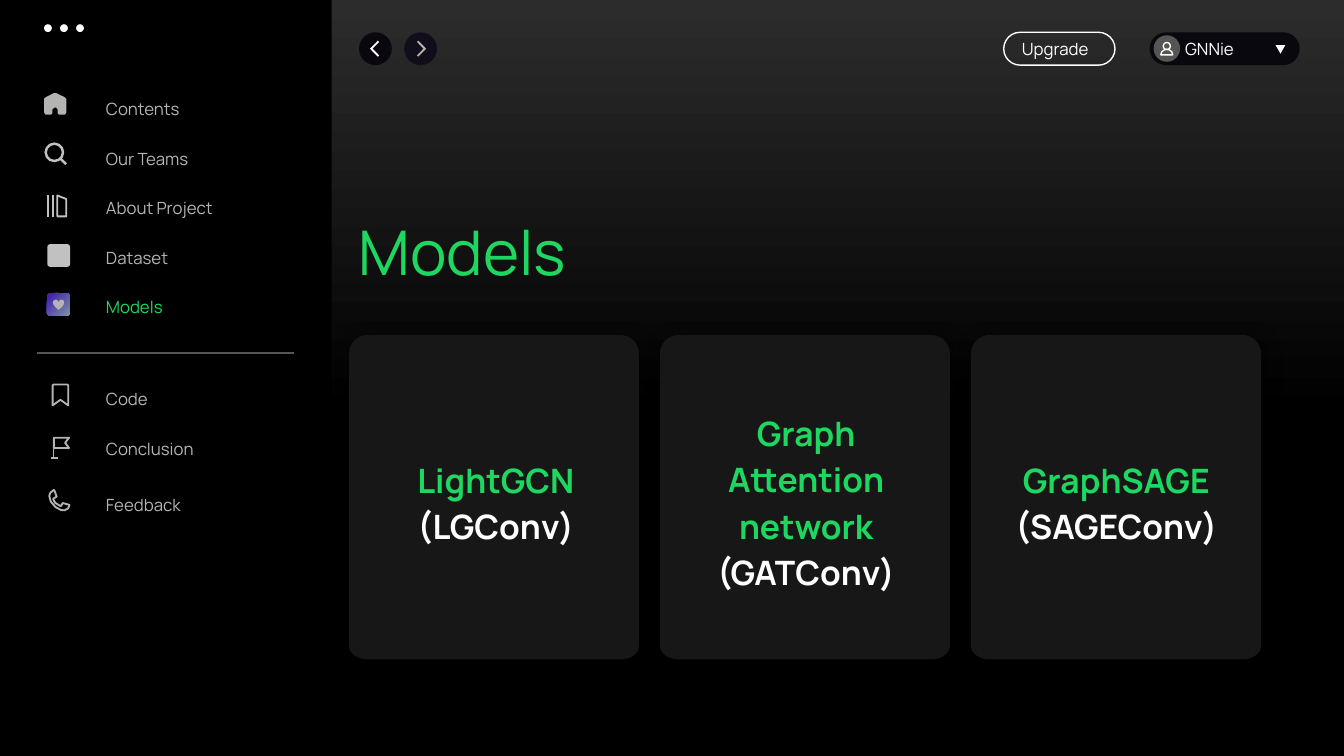
"""Build the Models slide: dark app sidebar, top bar and three model cards."""
import math
import lxml.etree
import pptx
import pptx.dml.color
import pptx.enum.shapes
import pptx.enum.text
import pptx.oxml.ns
import pptx.util

Pt = pptx.util.Pt
Kind = pptx.enum.shapes.MSO_SHAPE
qn = pptx.oxml.ns.qn

THEME = {
    "font": "Manrope", "title": 33, "label": 9, "card": 18,
    "stroke": 0.75, "icon_stroke": 1, "search_stroke": 1.3,
    "black": "000000", "white": "FFFFFF", "green": "1ED760", "grey": "B4B5B2", "light": "C1C1C1",
    "rule": "555554", "panel": "171717", "bar": "0A080F", "back": "0A070E", "next": "120D1A",
    "sky": "2C2C2C", "violet": "4224B0", "steel": "7F93A0",
}

NAVIGATION = [
    ("Contents", 50.1, "grey"), ("Our Teams", 76.9, "grey"), ("About Project", 103.3, "grey"),
    ("Dataset", 129.9, "grey"), ("Models", 156.2, "green"), ("Code", 205.6, "grey"),
    ("Conclusion", 232.5, "grey"), ("Feedback", 262.2, "grey"),
]
CARDS = [
    (240.5, 52.5, [[("LightGCN ", "green"), ("(LGConv)", "white")]]),
    (215.2, 102.2, [[("Graph Attention network", "green")], [("(GATConv)", "white")]]),
    (240.5, 52.5, [[("GraphSAGE", "green")], [("(SAGEConv)", "white")]]),
]
CHEVRON = [(4.2, 8.6), (0, 4.3), (4.2, 0), (4.9, 0.7), (1.4, 4.3), (4.9, 7.9)]
HOUSE = [(0, 3.2), (1, 2.4), (5.3, 0.2), (6.6, 0.2), (11, 2.4), (12, 3.4), (12, 10.6),
         (11.2, 11.7), (8, 11.7), (7.3, 11), (7.3, 9), (6.5, 8), (5.4, 8), (4.5, 9),
         (4.5, 11), (3.8, 11.7), (0.8, 11.7), (0, 10.6)]
BOOK = [(0, 0), (4.8, 1.9), (4.8, 11.2), (0, 11.2)]
BOOKMARK = [(0, 0.5), (0.5, 0), (7.9, 0), (8.4, 0.5), (8.4, 11.2), (4.2, 8.2), (0, 11.2)]
FLAG = [(0, 0), (8.1, 0), (6, 2.8), (8.1, 5.5), (0, 5.5)]
PHONE = [(0.4, 3.6), (1, 1.9), (2.8, 0.4), (3.2, 0.7), (4.4, 4), (2.6, 5), (2.6, 5.6),
         (3.6, 7.3), (6.3, 9), (6.7, 9), (7.6, 7.4), (11.2, 8.4), (10.6, 10.2),
         (8.6, 11.3), (6.6, 11.1), (3.8, 9.6), (1.2, 6.6)]
SHOULDERS = [(0, 3), (0.5, 1.4), (1.8, 0.4), (3.2, 0), (4.6, 0.4), (5.9, 1.4), (6.4, 3)]
LINE_ICONS = [
    (30.7, 104.7, BOOK, "light"), (28.2, 206, BOOKMARK, "grey"),
    (28.9, 234.5, FLAG, "grey"), (26, 262.1, PHONE, "grey"),
]
STROKES = [
    (20, 189.2, 157.5, 189.2, "rule", "stroke"),
    (32.2, 84.8, 35.4, 88, "light", "search_stroke"),
    (25.9, 104.4, 25.9, 116.4, "light", "icon_stroke"),
    (28.2, 104.4, 28.2, 116.4, "light", "icon_stroke"),
    (28.7, 234, 28.7, 245.5, "grey", "icon_stroke"),
    (27.4, 245.5, 31, 245.5, "grey", "icon_stroke"),
]
CARD_LEFT, CARD_TOP, CARD_WIDTH, CARD_HEIGHT, CARD_STEP = 187, 179.5, 155.3, 173.8, 166.6
CAPTION_LEFT, CAPTION_WIDTH, CAPTION_STEP = 203, 125.3, 166.2

deck = pptx.Presentation()
deck.slide_width, deck.slide_height = Pt(720), Pt(405)
page = deck.slides.add_slide(deck.slide_layouts[5])
shapes = page.shapes


def color(name):
    return pptx.dml.color.RGBColor.from_string(THEME[name])


def paint(shape, fill=None, line=None, weight="stroke"):
    shape.shadow.inherit = False
    if fill:
        shape.fill.solid()
        shape.fill.fore_color.rgb = color(fill)
    else:
        shape.fill.background()
    if line:
        shape.line.color.rgb = color(line)
        shape.line.width = Pt(THEME[weight])
    else:
        shape.line.fill.background()
    return shape


def blend(fill, first, last, start, end, angle):
    fill.gradient()
    fill.gradient_angle = angle
    for stop, name, position in zip(fill.gradient_stops, (first, last), (start, end)):
        stop.color.rgb = color(name)
        stop.position = position


def preset(kind, left, top, width, height, adjust=None, **look):
    shape = shapes.add_shape(kind, Pt(left), Pt(top), Pt(width), Pt(height))
    if adjust is not None:
        shape.adjustments[0] = adjust
    return paint(shape, **look)


def outline(left, top, points, **look):
    spots = [(Pt(left + x), Pt(top + y)) for x, y in points]
    builder = shapes.build_freeform(*spots[0], scale=1.0)
    builder.add_line_segments(spots[1:], close=True)
    return paint(builder.convert_to_shape(), **look)


def stroke(x1, y1, x2, y2, tint, weight):
    line = shapes.add_connector(pptx.enum.shapes.MSO_CONNECTOR.STRAIGHT,
                                Pt(x1), Pt(y1), Pt(x2), Pt(y2))
    line.line.color.rgb = color(tint)
    line.line.width = Pt(THEME[weight])
    lxml.etree.SubElement(line._element.spPr, qn("a:effectLst"))


def write(paragraphs, left, top, width, height, size="label", bold=False,
          align="LEFT", spacing=None, box=None):
    box = box or shapes.add_textbox(0, 0, 0, 0)
    box.left, box.top, box.width, box.height = Pt(left), Pt(top), Pt(width), Pt(height)
    frame = box.text_frame
    frame.word_wrap = True
    frame.auto_size = pptx.enum.text.MSO_AUTO_SIZE.SHAPE_TO_FIT_TEXT
    frame.vertical_anchor = pptx.enum.text.MSO_ANCHOR.TOP
    frame.margin_left = frame.margin_right = Pt(5.4)
    frame.margin_top = frame.margin_bottom = Pt(2.7)
    for index, spans in enumerate(paragraphs):
        para = frame.add_paragraph() if index else frame.paragraphs[0]
        para.alignment = getattr(pptx.enum.text.PP_ALIGN, align)
        if spacing:
            para.line_spacing = spacing
        for text, tint in spans:
            span = para.add_run()
            span.text = text
            span.font.name, span.font.size = THEME["font"], Pt(THEME[size])
            span.font.bold, span.font.color.rgb = bold, color(tint)


def card_corners(width, height, radius=10, base=7.2, steps=8):
    corners = [(width - radius, radius, radius, 270), (width - radius, height - base, base, 0),
               (radius, height - base, base, 90), (radius, radius, radius, 180)]
    for x, y, rise, start in corners:
        for step in range(steps + 1):
            angle = math.radians(start + 90 * step / steps)
            yield x + radius * math.cos(angle), y + rise * math.sin(angle)


def cast_shadow(shape):
    effects = shape._element.spPr.find(qn("a:effectLst"))
    shadow = lxml.etree.SubElement(effects, qn("a:outerShdw"), blurRad=str(Pt(10)),
                                   dist=str(Pt(3)), dir="2700000", algn="tl", rotWithShape="0")
    tint = lxml.etree.SubElement(shadow, qn("a:srgbClr"), val=THEME["black"])
    lxml.etree.SubElement(tint, qn("a:alpha"), val="60000")


blend(page.background.fill, "sky", "black", 0, 0.55, 270)
write([[("Models", "green")]], 186.8, 111.9, 219.6, 45.4, size="title", box=shapes.title)
preset(Kind.RECTANGLE, 0, 0, 177.7, 405, fill="black")
for index in range(3):
    preset(Kind.OVAL, 23.6 + 8.6 * index, 13, 4.2, 4.2, fill="white")

mirrored = [(4.9 - x, y) for x, y in CHEVRON]
for left, disc, arrow_left, points, tint in [(192.3, "back", 198.2, CHEVRON, "white"),
                                            (216.5, "next", 223.4, mirrored, "grey")]:
    preset(Kind.OVAL, left, 17.3, 17.6, 17.6, fill=disc)
    outline(arrow_left, 21.8, points, fill=tint)

for label, top, tint in NAVIGATION:
    write([[(label, tint)]], 51.4, top, 76.3, 16.6)
outline(23.6, 49.7, HOUSE, fill="grey")
preset(Kind.OVAL, 24.5, 77, 9.3, 9.3, line="light", weight="search_stroke")
preset(Kind.ROUNDED_RECTANGLE, 25.4, 130.8, 12.2, 12.2, 0.13, fill="light")
tile = preset(Kind.ROUNDED_RECTANGLE, 25.2, 157, 12.2, 12.2, 0.13, fill="violet")
blend(tile.fill, "violet", "steel", 0.11, 1, 315)
preset(Kind.HEART, 28.4, 160.4, 6, 5.6, fill="grey")
for left, top, points, tint in LINE_ICONS:
    outline(left, top, points, line=tint, weight="icon_stroke")
for item in STROKES:
    stroke(*item)

preset(Kind.ROUNDED_RECTANGLE, 537.7, 17.3, 59.6, 17.6, 0.5, line="white")
write([[("Upgrade", "white")]], 542, 17.9, 51.1, 16.6)
preset(Kind.ROUNDED_RECTANGLE, 615.9, 17.3, 80.4, 17.6, 0.5, fill="bar")
write([[("GNNie", "white")]], 629.5, 17.9, 54, 16.6)
preset(Kind.OVAL, 618, 18.9, 14.2, 14.2, fill="rule")
preset(Kind.OVAL, 623.2, 22.8, 3.8, 3.8, line="white")
outline(621.9, 26.4, SHOULDERS, line="white")
preset(Kind.ISOSCELES_TRIANGLE, 684, 23.1, 5.2, 4.5, fill="white").rotation = 60

for index in range(len(CARDS)):
    cast_shadow(outline(CARD_LEFT + CARD_STEP * index, CARD_TOP,
                        card_corners(CARD_WIDTH, CARD_HEIGHT), fill="panel"))
for index, (top, height, paragraphs) in enumerate(CARDS):
    write(paragraphs, CAPTION_LEFT + CAPTION_STEP * index, top, CAPTION_WIDTH, height,
          size="card", bold=True, align="CENTER", spacing=1.15)

deck.save("out.pptx")
